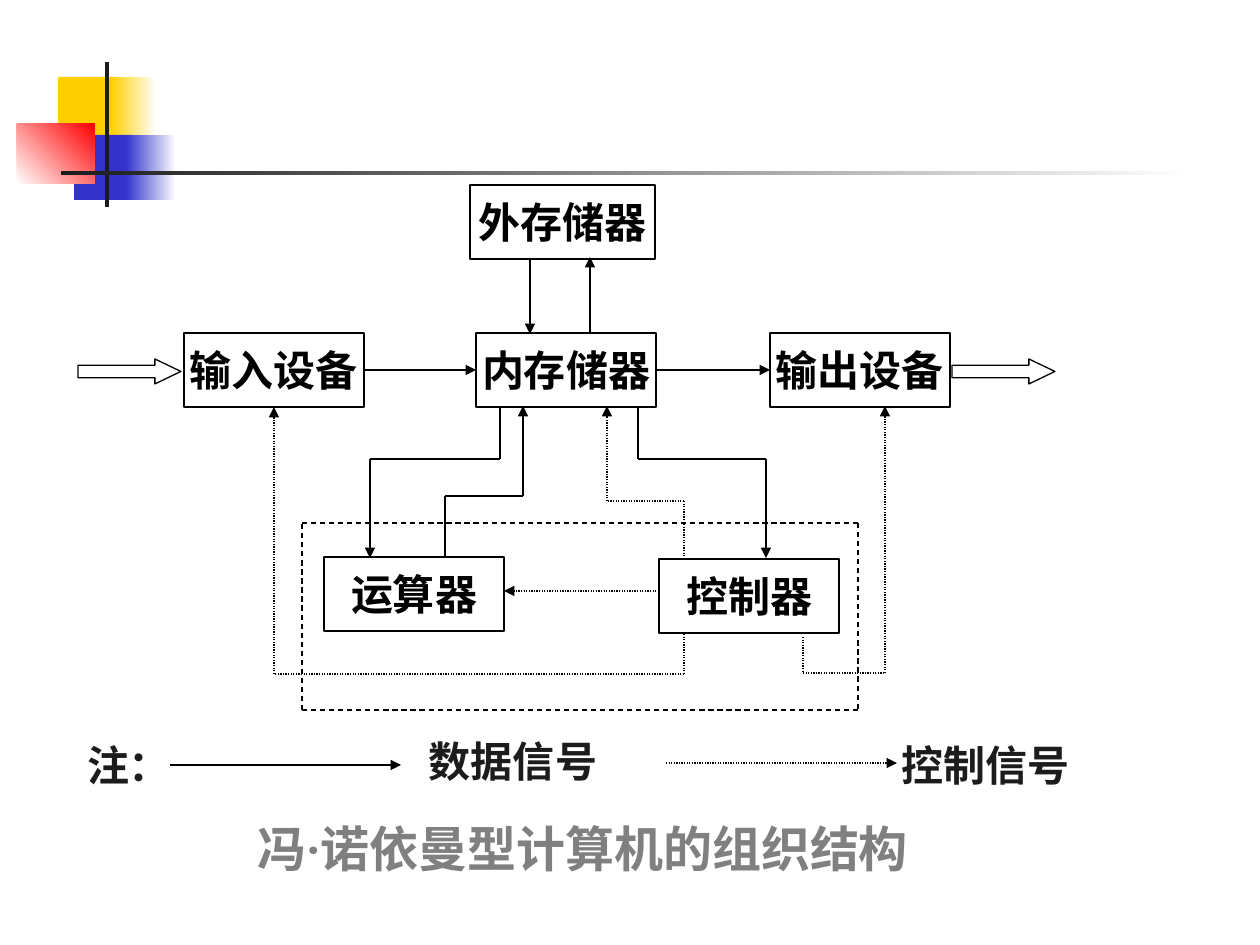
from itertools import pairwise

from lxml import etree
from pptx import Presentation
from pptx import util as u
from pptx.dml.color import RGBColor
from pptx.enum import dml, shapes, text
from pptx.oxml.ns import qn

EMU_PER_PX = 914400 / 126
BLACK, WHITE, INK, GREY = "000000", "FFFFFF", "1C1C1C", "808080"
DOTTED, DASHED = dml.MSO_LINE.ROUND_DOT, dml.MSO_LINE.DASH


def px(value):
    return u.Emu(round(value * EMU_PER_PX))


def color(hex_value):
    return RGBColor.from_string(hex_value)


class Diagram:
    font = "Roboto"
    line_width = u.Pt(0.75)

    def __init__(self, slide):
        self.slide = slide

    def shape(self, box, fill, outline=None, kind=shapes.MSO_SHAPE.RECTANGLE):
        item = self.slide.shapes.add_shape(kind, *map(px, box))
        item.shadow.inherit = False
        item.fill.solid()
        item.fill.fore_color.rgb = color(fill)
        if outline:
            item.line.color.rgb = color(outline)
            item.line.width = self.line_width
        else:
            item.line.fill.background()
        return item

    def fade(self, box, start, end, angle=0):
        item = self.shape(box, start)
        item.fill.gradient()
        item.fill.gradient_angle = angle
        for stop, place, shade in zip(item.fill.gradient_stops, (0, 1), (start, end)):
            stop.position = place
            stop.color.rgb = color(shade)

    def put_words(self, item, words, size, shade, anchor):
        frame = item.text_frame
        settings = {"word_wrap": True, "vertical_anchor": anchor, "margin_left": 0,
                    "margin_right": 0, "margin_top": 0, "margin_bottom": 0}
        for name, value in settings.items():
            setattr(frame, name, value)
        paragraph = frame.paragraphs[0]
        paragraph.alignment = text.PP_ALIGN.CENTER
        run = paragraph.add_run()
        run.text = words
        for name, value in {"name": self.font, "size": u.Pt(size), "bold": True}.items():
            setattr(run.font, name, value)
        run.font.color.rgb = color(shade)

    def node(self, words, left, top, width=180):
        item = self.shape((left, top, width, 74), WHITE, BLACK)
        self.put_words(item, words, 24, BLACK, text.MSO_ANCHOR.MIDDLE)
        return item

    def label(self, words, box, size=24, shade=INK):
        item = self.slide.shapes.add_textbox(*map(px, box))
        self.put_words(item, words, size, shade, text.MSO_ANCHOR.TOP)

    def block_arrow(self, left, top):
        item = self.shape((left, top, 103, 25), WHITE, BLACK, shapes.MSO_SHAPE.RIGHT_ARROW)
        item.adjustments[1] = 1.04

    def line(self, start, end, dash=None, arrow=False):
        item = self.slide.shapes.add_connector(
            shapes.MSO_CONNECTOR.STRAIGHT, *map(px, (*start, *end)))
        item.line.color.rgb = color(BLACK)
        item.line.width = self.line_width
        if dash:
            item.line.dash_style = dash
        properties = item._element.spPr
        if arrow:
            etree.SubElement(properties.find(qn("a:ln")), qn("a:tailEnd"), type="triangle")
        etree.SubElement(properties, qn("a:effectLst"))
        return item

    def route(self, *points, dash=None):
        """Draw straight legs through the points, with an arrowhead on the last."""
        legs = list(pairwise(points))
        for start, end in legs[:-1]:
            self.line(start, end, dash)
        return self.line(*legs[-1], dash, arrow=True)


def main():
    deck = Presentation()
    deck.slide_width, deck.slide_height = px(1260), px(945)
    diagram = Diagram(deck.slides.add_slide(deck.slide_layouts[6]))

    # Corner ornament and rule
    diagram.shape((58, 77, 60, 65), "FFCF01")
    diagram.fade((111, 77, 45, 65), "FFCF01", WHITE)
    diagram.shape((74, 135, 58, 65), "3333CC")
    diagram.fade((126, 135, 50, 65), "3333CC", WHITE)
    diagram.fade((17, 124, 78, 60), WHITE, "FF0000", angle=45)
    diagram.shape((105, 62, 4, 145), INK)
    diagram.fade((61, 171, 1134, 4), INK, WHITE)

    # Machine units
    memory = diagram.node("内存储器", 476, 333)
    diagram.node("运算器", 324, 557)
    diagram.node("外存储器", 470, 185, 185)
    input_unit = diagram.node("输入设备", 184, 333)
    output_unit = diagram.node("输出设备", 770, 333)
    diagram.node("控制器", 659, 559)

    # Data signals
    for source, target in pairwise((input_unit, memory, output_unit)):
        flow = diagram.line((364, 370), (476, 370), arrow=True)
        flow.begin_connect(source, 3)
        flow.end_connect(target, 1)
    diagram.route((530, 259), (530, 334))
    diagram.route((590, 333), (590, 257))
    diagram.route((500, 408), (500, 459), (370, 459), (370, 558))
    diagram.route((445, 556), (445, 496), (523, 496), (523, 406))
    diagram.route((638, 407), (638, 459), (766, 459), (766, 558))

    # Control signals
    diagram.route((659, 591), (504, 591), dash=DOTTED)
    diagram.route((684, 559), (684, 501), (607, 501), (607, 406), dash=DOTTED)
    diagram.route((803, 637), (803, 673), (885, 673), (885, 406), dash=DOTTED)
    to_input = diagram.route((684, 634), (684, 674), (274, 674), (274, 407), dash=DOTTED)
    to_input.end_connect(input_unit, 2)

    # Outside input and output
    for left in (78, 952):
        diagram.block_arrow(left, 359)

    # Dashed frame around the processor
    corners = [(302, 523), (858, 523), (858, 710), (302, 710)]
    for start, end in pairwise(corners + corners[:1]):
        diagram.line(start, end, DASHED)

    # Legend
    diagram.label("注：", (87, 740, 84, 50))
    diagram.route((170, 765), (401, 765))
    diagram.label("数据信号", (408, 736, 210, 50))
    diagram.route((666, 763), (897, 763), dash=DOTTED)
    diagram.label("控制信号", (881, 740, 210, 50))

    # Caption
    diagram.label("冯·诺依曼型计算机的组织结构", (220, 819, 725, 59), 28, GREY)

    deck.save("out.pptx")


if __name__ == "__main__":
    main()
